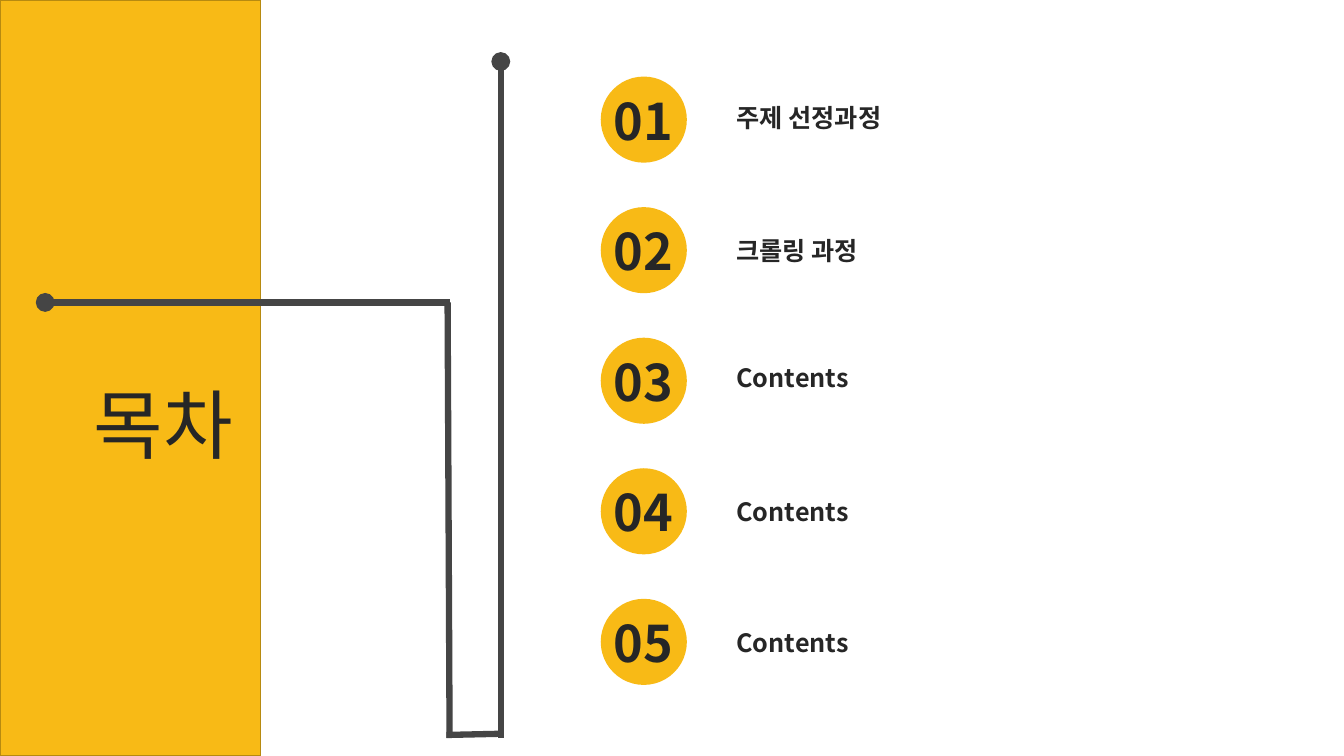
from lxml import etree
from pptx import Presentation
from pptx.dml.color import RGBColor
from pptx.enum.shapes import MSO_CONNECTOR, MSO_SHAPE
from pptx.enum.text import MSO_ANCHOR, MSO_AUTO_SIZE, PP_ALIGN
from pptx.oxml.ns import qn
from pptx.util import Cm, Pt

RECT, OVAL = MSO_SHAPE.RECTANGLE, MSO_SHAPE.OVAL
STRAIGHT = MSO_CONNECTOR.STRAIGHT
LEFT, CENTER = PP_ALIGN.LEFT, PP_ALIGN.CENTER
TOP, MIDDLE = MSO_ANCHOR.TOP, MSO_ANCHOR.MIDDLE
GROW = MSO_AUTO_SIZE.SHAPE_TO_FIT_TEXT


def rgb(value):
    return RGBColor.from_string(value)


class Deck:
    font = "Noto Sans CJK KR"
    yellow, border, ink, gray = "F8BA16", "B78A10", "262626", "454545"

    def __init__(self, width, height):
        self.prs = Presentation()
        self.prs.slide_width, self.prs.slide_height = Cm(width), Cm(height)
        self.slide = self.prs.slides.add_slide(self.prs.slide_layouts[5])
        self.shapes = self.slide.shapes

    def group(self):
        self.shapes = self.slide.shapes.add_group_shape().shapes

    def shape(self, kind, x, y, w, h, line=None):
        sp = self.shapes.add_shape(kind, Cm(x), Cm(y), Cm(w), Cm(h))
        sp.shadow.inherit = False
        sp.fill.solid()
        sp.fill.fore_color.rgb = rgb(self.yellow)
        if line:
            sp.line.color.rgb, sp.line.width = rgb(line), Pt(1)
        else:
            sp.line.fill.background()

    def set_text(self, sp, text, size, bold=False, align=LEFT, anchor=TOP, inset=0.3):
        tf = sp.text_frame
        frame = {"word_wrap": True, "auto_size": GROW, "vertical_anchor": anchor,
                 "margin_left": Cm(inset), "margin_right": Cm(inset),
                 "margin_top": Cm(0.13), "margin_bottom": Cm(0.13)}
        for name, value in frame.items():
            setattr(tf, name, value)
        p = tf.paragraphs[0]
        p.alignment = align
        r = p.add_run()
        r.text = text
        for name, value in {"name": self.font, "size": Pt(size), "bold": bold}.items():
            setattr(r.font, name, value)
        r.font.color.rgb = rgb(self.ink)
        # Korean glyphs take the East Asian font
        for props in sp.element.iter(qn("a:rPr")):
            etree.SubElement(props, qn("a:ea"), typeface=self.font)

    def text(self, text, x, y, w, h, size, **style):
        sp = self.shapes.add_textbox(Cm(x), Cm(y), Cm(w), Cm(h))
        self.set_text(sp, text, size, **style)

    def title(self, text, x, y, w, h, size):
        sp = self.slide.shapes.title
        sp.left, sp.top, sp.width, sp.height = Cm(x), Cm(y), Cm(w), Cm(h)
        self.set_text(sp, text, size, anchor=MIDDLE, inset=0.25)
        sp.element.getparent().append(sp.element)  # in front of the side panel

    def line(self, x1, y1, x2, y2, dot=None):
        cx = self.shapes.add_connector(STRAIGHT, Cm(x1), Cm(y1), Cm(x2), Cm(y2))
        cx.line.color.rgb, cx.line.width = rgb(self.gray), Pt(4.5)
        sp_pr = cx.element.find(qn("p:spPr"))
        if dot:
            etree.SubElement(sp_pr.find(qn("a:ln")), qn(dot), type="oval")
        etree.SubElement(sp_pr, qn("a:effectLst"))


def main():
    deck = Deck(33.87, 19.05)

    # Side panel and title
    deck.shape(RECT, 0, 0, 6.56, 19.05, line=deck.border)
    deck.title("목차", 2.11, 9.37, 8.94, 2.57, 54)

    # Bent line with a dot at each end
    deck.line(1.14, 7.62, 11.33, 7.62, dot="a:headEnd")
    deck.line(11.33, 18.59, 11.28, 7.62)
    deck.line(12.62, 18.59, 12.62, 1.55, dot="a:tailEnd")
    deck.line(11.25, 18.52, 12.65, 18.49)

    # Numbered contents: label and its top
    contents = [("주제 선정과정", 2.44), ("크롤링 과정", 5.79), ("Contents", 8.99),
                ("Contents", 12.37), ("Contents", 15.67)]
    for i, (label, label_top) in enumerate(contents):
        top = 1.93 + i * 3.29
        deck.group()
        deck.text(label, 18.26, label_top, 12.52, 1.02, 18, bold=True)
        deck.shape(OVAL, 15.14, top, 2.17, 2.17)
        deck.text(f"{i + 1:02}", 14.88, top + 0.2, 2.67, 1.8, 36, bold=True, align=CENTER)

    deck.prs.save("out.pptx")


if __name__ == "__main__":
    main()
